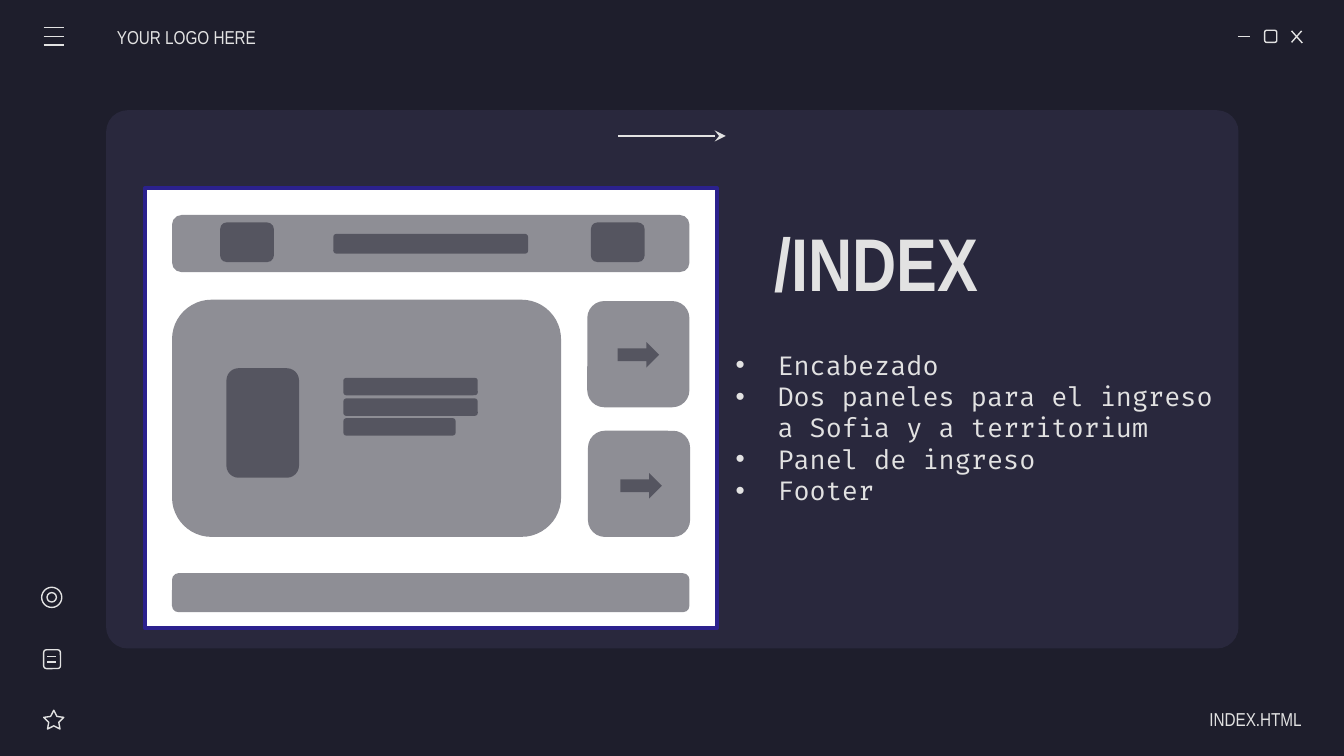
from lxml.etree import SubElement
from pptx import Presentation
from pptx.dml.color import RGBColor
from pptx.enum.shapes import MSO_CONNECTOR, MSO_SHAPE as SHAPE
from pptx.enum.text import MSO_ANCHOR, PP_ALIGN as ALIGN
from pptx.oxml.ns import qn
from pptx.util import Inches, Pt

NIGHT = RGBColor(0x1E, 0x1E, 0x2C)
PANEL = RGBColor(0x29, 0x28, 0x3D)
LIGHT = RGBColor(0xE2, 0xE2, 0xE2)
WHITE = RGBColor(0xFF, 0xFF, 0xFF)
INDIGO = RGBColor(0x2B, 0x21, 0x8D)

# Widescreen slide, 16:9
prs = Presentation()
prs.slide_width = Inches(10)
prs.slide_height = prs.slide_width * 9 // 16
slide = prs.slides.add_slide(prs.slide_layouts[6])
slide.background.fill.solid()
slide.background.fill.fore_color.rgb = NIGHT

# Grid of 100 square columns; rows have the same size
CELL = prs.slide_width / 100


def add_block(kind, area, fill=None, line=None, weight=0.75, alpha=None):
    block = slide.shapes.add_shape(kind, *[round(n * CELL) for n in area])
    block.shadow.inherit = False
    if fill is None:
        block.fill.background()
    else:
        block.fill.solid()
        block.fill.fore_color.rgb = fill
    if alpha is not None:
        color = block._element.spPr.find(qn("a:solidFill"))[0]
        SubElement(color, qn("a:alpha"), val=str(alpha * 1000))
    if line is None:
        block.line.fill.background()
    else:
        block.line.color.rgb = line
        block.line.width = Pt(weight)
    return block


def add_label(lines, area, font, size, bold=False, align=ALIGN.LEFT, left=1, right=1):
    frame = slide.shapes.add_textbox(*[round(n * CELL) for n in area]).text_frame
    frame.word_wrap = True
    frame.vertical_anchor = MSO_ANCHOR.MIDDLE
    frame.margin_top = frame.margin_bottom = round(CELL)
    frame.margin_left, frame.margin_right = round(left * CELL), round(right * CELL)
    frame.text = "\n".join(lines)
    for paragraph in frame.paragraphs:
        paragraph.alignment = align
        paragraph.font.name = font
        paragraph.font.size = Pt(size)
        paragraph.font.bold = bold
        paragraph.font.color.rgb = LIGHT
    return frame


# Main panel
panel = add_block(SHAPE.ROUNDED_RECTANGLE, (7.9, 8.2, 84.25, 40.05), PANEL)
panel.adjustments[0] = 0.04

# Outlined icons: maximize button, star, note, target rings
for kind, area in [
    (SHAPE.ROUNDED_RECTANGLE, (94.1, 2.25, 0.9, 0.9)),
    (SHAPE.ROUNDED_RECTANGLE, (3.25, 48.35, 1.25, 1.4)),
    (SHAPE.OVAL, (3.1, 43.7, 1.5, 1.5)),
    (SHAPE.OVAL, (3.5, 44.1, 0.7, 0.7)),
]:
    add_block(kind, area, line=LIGHT)
star = add_block(SHAPE.STAR_5_POINT, (3.25, 52.85, 1.5, 1.4), line=LIGHT)
star.adjustments[0] = 0.25

# Strokes: minimize, close cross, menu bars and note lines
strokes = [(92.1, 2.7, 93, 2.7), (96.1, 2.3, 96.9, 3.2), (96.85, 2.3, 96.1, 3.15)]
strokes += [(3.25, y, 4.75, y) for y in (2.05, 2.7, 3.35)]
strokes += [(3.5, y, 4.2, y) for y in (48.85, 49.25)]
# The last stroke is the long arrow
strokes += [(46, 10.12, 54, 10.12)]
for ends in strokes:
    stroke = slide.shapes.add_connector(
        MSO_CONNECTOR.STRAIGHT, *[round(n * CELL) for n in ends])
    stroke.line.color.rgb = LIGHT
    stroke.line.width = Pt(0.75)
    SubElement(stroke._element.spPr, qn("a:effectLst"))
outline = stroke._element.spPr.find(qn("a:ln"))
SubElement(outline, qn("a:tailEnd"), type="stealth")

# Header, footer and title
add_label(["YOUR LOGO HERE"], (8.7, 1.25, 11.7, 3), "Arial Narrow", 10, left=0)
add_label(["INDEX.HTML"], (85.15, 52, 11.7, 3), "Arial Narrow", 10,
          align=ALIGN.RIGHT, right=0)
add_label(["/INDEX"], (56.65, 15.1, 39.6, 8.7), "Arial Narrow", 40, bold=True)

# Bullet list
contents = add_label(
    ["Encabezado", "Dos paneles para el ingreso a Sofia y a territorium",
     "Panel de ingreso", "Footer"],
    (53.75, 23.1, 39.6, 17.4), "Fira Code", 14)
for item in contents.paragraphs:
    props = item._p.get_or_add_pPr()
    props.set("marL", str(round(3.12 * CELL)))
    props.set("indent", str(round(-3.12 * CELL)))
    bullet_color = SubElement(props, qn("a:buClr"))
    SubElement(bullet_color, qn("a:srgbClr"), val=str(LIGHT))
    SubElement(props, qn("a:buFont"), typeface="Arial")
    SubElement(props, qn("a:buChar"), char="•")

# Wireframe page
add_block(SHAPE.RECTANGLE, (10.8, 14, 42.55, 32.75), WHITE, INDIGO, 2)
wireframe = [
    (12.8, 16, 38.5, 4.25),       # header
    (12.8, 22.3, 28.95, 17.65),   # main panel
    (43.7, 22.4, 7.6, 7.9),       # side panels
    (43.75, 32.05, 7.6, 7.9),
    (12.8, 42.65, 38.5, 2.9),     # footer
    (16.85, 27.4, 5.4, 8.15),     # picture in main panel
    (25.55, 28.12, 10, 1.3),      # text lines in main panel
    (25.55, 29.65, 10, 1.3),
    (25.55, 31.12, 8.35, 1.3),
    (24.8, 17.4, 14.5, 1.48),     # header title
    (16.38, 16.55, 4, 2.95),      # header buttons
    (43.97, 16.55, 4, 2.95),
]
for area in wireframe:
    add_block(SHAPE.ROUNDED_RECTANGLE, area, NIGHT, alpha=50)
for left, top in [(45.95, 25.45), (46.15, 35.2)]:
    add_block(SHAPE.RIGHT_ARROW, (left, top, 3.1, 1.9), NIGHT, alpha=50)

prs.save("out.pptx")
